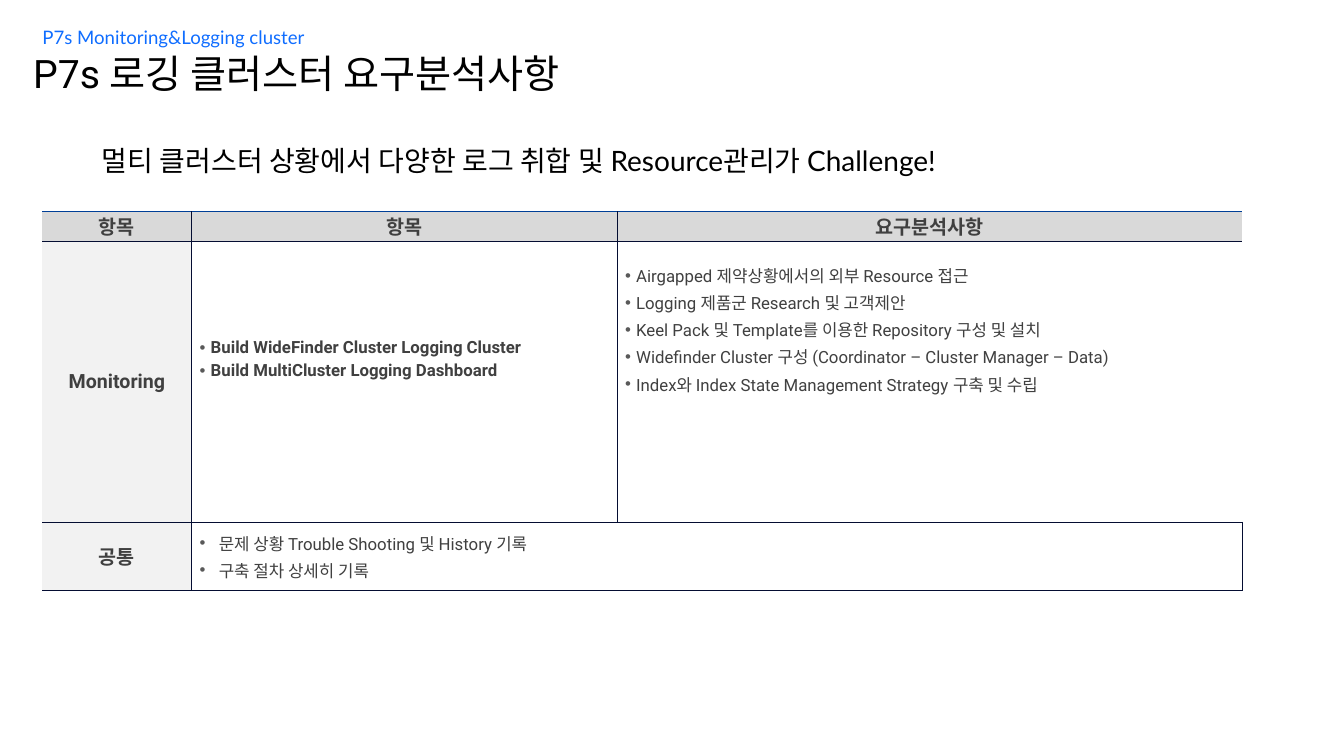
from lxml import etree
from pptx import Presentation
from pptx import util as u
from pptx.dml.color import RGBColor
from pptx.enum import text
from pptx.oxml import ns

# Content
HEADINGS = [  # words, (left, top, width, height), top inset, size, font, colour, line spacing
    ("P7s Monitoring&Logging cluster", (0.42, 0.25, 7.29, 0.25), 0, 13.3, "Lato", "0F6DFF", 1.05),
    ("P7s 로깅 클러스터 요구분석사항", (0.33, 0.29, 12.5, 0.73), 0.25, 28, "Roboto", "000000", 0.9),
    ("멀티 클러스터 상황에서 다양한 로그 취합 및 Resource관리가 Challenge!",
     (1.01, 1.41, 9.5, 0.5), 0, 20, "Lato", "000000", 1.05),
]
HEADER = ["항목", "항목", "요구분석사항"]
TOPICS = ["Monitoring", "공통"]
GOALS = ["Build WideFinder Cluster Logging Cluster", "Build MultiCluster Logging Dashboard"]
NEEDS = [
    "Airgapped 제약상황에서의 외부 Resource 접근",
    "Logging 제품군 Research 및 고객제안",
    "Keel Pack 및 Template를 이용한 Repository 구성 및 설치",
    "Widefinder Cluster 구성 (Coordinator – Cluster Manager – Data)",
    "Index와 Index State Management Strategy 구축 및 수립",
]
COMMON = ["문제 상황 Trouble Shooting 및 History 기록", "구축 절차 상세히 기록"]

TABLE_AT = (0.42, 2.1)
COLUMNS = [1.48, 4.22, 6.2]
ROWS = [0.29, 2.79, 0.68]
INK, RULE, TOP_RULE = "404040", "040D32", "003F97"
HEADER_FILL, TOPIC_FILL, BULLET = "D9D9D9", "F2F2F2", "595959"
PLAIN_STYLE = "{2D5ABB26-0587-4C30-8999-92F81FD0307C}"


def rgb(code):
    return RGBColor.from_string(code)


def add_span(para, words, size, font, colour, bold=False):
    span = para.add_run()
    span.text = words
    span.font.size, span.font.name, span.font.bold = u.Pt(size), font, bold
    span.font.color.rgb = rgb(colour)


def add_node(parent, tag, **attributes):
    return etree.SubElement(parent, ns.qn(tag), attributes)


def add_solid(parent, colour):
    add_node(add_node(parent, "a:solidFill"), "a:srgbClr", val=colour)


def set_cell(cell, fill, sides, top_rule=RULE):
    """Draw the named sides (L, R, T, B), then the fill."""
    props = cell._tc.get_or_add_tcPr()
    for side in "LRTB":
        line = add_node(props, "a:ln" + side, w=str(u.Pt(1 if top_rule != RULE and side == "T" else 0.5)))
        if side in sides:
            add_solid(line, top_rule if side == "T" else RULE)
        else:
            add_node(line, "a:noFill")
    if fill:
        cell.fill.solid()
        cell.fill.fore_color.rgb = rgb(fill)
    else:
        cell.fill.background()
    cell.margin_left = cell.margin_right = u.Inches(0.08)
    cell.margin_top = cell.margin_bottom = 0
    cell.vertical_anchor = text.MSO_ANCHOR.MIDDLE


def label_cell(cell, words):
    para = cell.text_frame.paragraphs[0]
    para.alignment = text.PP_ALIGN.CENTER
    add_span(para, words, 14, "Roboto", INK, True)


def list_cell(cell, items, indent, bold=False):
    frame = cell.text_frame
    for index, words in enumerate(items):
        para = frame.add_paragraph() if index else frame.paragraphs[0]
        para.space_before = para.space_after = u.Pt(1)
        props = para._p.get_or_add_pPr()
        props.set("marL", str(u.Inches(indent)))
        props.set("indent", str(-u.Inches(indent)))
        add_node(add_node(props, "a:buClr"), "a:srgbClr", val=BULLET)
        add_node(props, "a:buFont", typeface="Arial")
        add_node(props, "a:buChar", char="•")
        add_span(para, words, 12, "Roboto", INK, bold)


deck = Presentation()
deck.slide_width, deck.slide_height = u.Inches(13.33), u.Inches(7.5)
page = deck.slides.add_slide(deck.slide_layouts[6])

# Headings
for words, place, inset, size, font, colour, spacing in HEADINGS:
    frame = page.shapes.add_textbox(*map(u.Inches, place)).text_frame
    frame.word_wrap = True
    frame.margin_left = frame.margin_right = frame.margin_bottom = 0
    frame.margin_top = u.Inches(inset)
    para = frame.paragraphs[0]
    para.line_spacing = spacing
    add_span(para, words, size, font, colour)

# Table grid
area = (*TABLE_AT, sum(COLUMNS), sum(ROWS))
grid = page.shapes.add_table(len(ROWS), len(COLUMNS), *map(u.Inches, area)).table
grid._tbl.tblPr.find(ns.qn("a:tableStyleId")).text = PLAIN_STYLE
grid.first_row = grid.horz_banding = False
for column, width in zip(grid.columns, COLUMNS):
    column.width = u.Inches(width)
for row, height in zip(grid.rows, ROWS):
    row.height = u.Inches(height)

# Header row and topic column
for index, words in enumerate(HEADER):
    sides = "TB" + ("L" if index else "") + ("R" if index < 2 else "")
    set_cell(grid.cell(0, index), HEADER_FILL, sides, TOP_RULE)
    label_cell(grid.cell(0, index), words)
for index, words in enumerate(TOPICS, 1):
    set_cell(grid.cell(index, 0), TOPIC_FILL, "RTB")
    label_cell(grid.cell(index, 0), words)

# Bulleted cells
goals, needs, common = grid.cell(1, 1), grid.cell(1, 2), grid.cell(2, 1)
common.merge(grid.cell(2, 2))
set_cell(goals, None, "LRTB")
set_cell(needs, None, "LTB")
set_cell(common, None, "LRTB")
set_cell(grid.cell(2, 2), None, "RTB")
goals.margin_bottom = u.Inches(0.44)
needs.vertical_anchor = text.MSO_ANCHOR.TOP
needs.margin_top = u.Inches(0.22)
list_cell(goals, GOALS, 0.11, bold=True)
list_cell(needs, NEEDS, 0.11)
list_cell(common, COMMON, 0.19)

deck.save("out.pptx")
